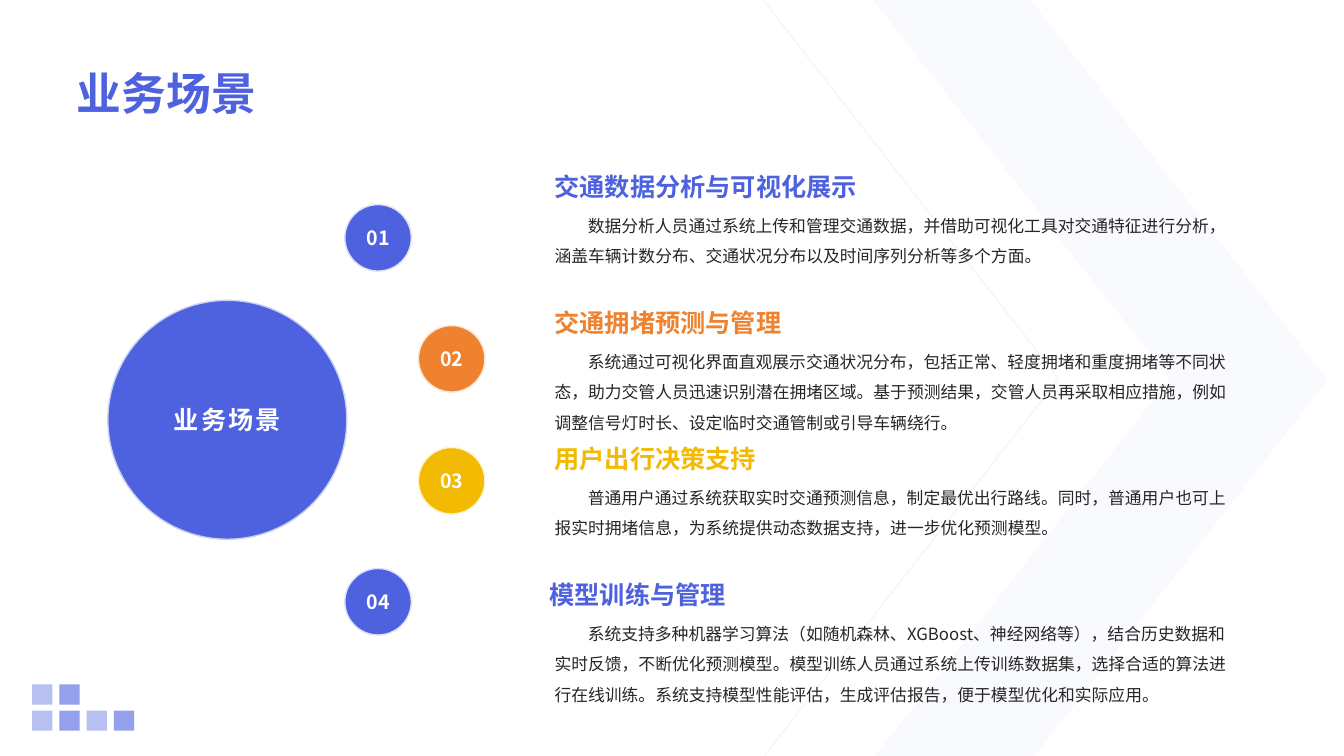
from dataclasses import dataclass

from lxml.etree import SubElement
from pptx import Presentation
from pptx.dml.color import RGBColor
from pptx.enum.shapes import MSO_SHAPE
from pptx.enum.text import MSO_ANCHOR, PP_ALIGN
from pptx.oxml.ns import qn
from pptx.util import Pt

PX = 9144  # 100 px to the inch


@dataclass(frozen=True)
class Theme:
    blue: str = "4E62DF"
    orange: str = "EE822F"
    gold: str = "F2BA02"
    ink: str = "262626"
    white: str = "FFFFFF"
    blue_rim: str = "DCE0F9"
    orange_rim: str = "FCE6D5"
    gold_rim: str = "FFF2CA"
    hub_rim: str = "CAD0F5"
    font: str = "Noto Sans CJK SC"
    title_font: str = "Arial"
    title: int = 32
    head: int = 18
    num: int = 14
    body: int = 12


class Deck:
    def __init__(self, theme):
        self.theme = theme
        self.deck = Presentation()
        self.deck.slide_width, self.deck.slide_height = 1333 * PX, 750 * PX
        self.slide = self.deck.slides.add_slide(self.deck.slide_layouts[6])
        self.shapes = self.slide.shapes

    def paint(self, form, color, alpha=100):
        """Give a fill or line format a solid colour, alpha in percent."""
        form.solid()
        form.fore_color.rgb = RGBColor.from_string(color)
        if alpha < 100:
            tone = form._xPr.find(qn("a:solidFill"))[0]
            SubElement(tone, qn("a:alpha"), val=str(alpha * 1000))

    def label(self, shape, text, size, color, bold=True, font=None,
              anchor=MSO_ANCHOR.BOTTOM, align=PP_ALIGN.LEFT, wrap=True,
              foot=0, gap=0, indent=0, lines=None):
        frame = shape.text_frame
        frame.word_wrap = wrap
        frame.vertical_anchor = anchor
        frame.margin_left = frame.margin_top = frame.margin_right = 0
        frame.margin_bottom = foot * PX
        para = frame.paragraphs[0]
        para.text = text
        para.alignment = align
        para.line_spacing = lines
        style = para.font
        style.size, style.bold = Pt(size), bold
        style.color.rgb = RGBColor.from_string(color)
        style.name = font or self.theme.font
        props = para._p.get_or_add_pPr()
        props.set("indent", str(indent * PX))
        chars = props.find(qn("a:defRPr"))
        SubElement(chars, qn("a:ea"), typeface=self.theme.font)
        if gap:
            chars.set("spc", str(gap))

    def text(self, box, text, size, color, **opts):
        shape = self.shapes.add_textbox(*(n * PX for n in box))
        self.label(shape, text, size, color, **opts)

    def block(self, kind, box, fill, alpha=100, rim=None):
        shape = self.shapes.add_shape(kind, *(n * PX for n in box))
        shape.shadow.inherit = False
        self.paint(shape.fill, fill, alpha)
        if rim:
            self.paint(shape.line.fill, rim)
            shape.line.width = Pt(1)
        else:
            shape.line.fill.background()
        return shape

    def disc(self, left, top, size, fill, rim, text, points, **opts):
        shape = self.block(MSO_SHAPE.OVAL, (left, top, size, size), fill, rim=rim)
        self.label(shape, text, points, self.theme.white,
                   anchor=MSO_ANCHOR.MIDDLE, align=PP_ALIGN.CENTER, **opts)

    def outline(self, points, color, alpha, filled):
        pen = self.shapes.build_freeform(*points[0], scale=PX)
        pen.add_line_segments(points[1:], close=filled)
        shape = pen.convert_to_shape()
        shape.shadow.inherit = False
        on, off = shape.fill, shape.line.fill
        if not filled:
            on, off = off, on
            shape.line.width = Pt(1)
        off.background()
        self.paint(on, color, alpha)


def main():
    look = Theme()
    deck = Deck(look)

    deck.outline([(758, 750), (1050, 376), (757, 0)], look.blue, 5, False)
    deck.outline([(1022, 0), (1317, 377), (1026, 750), (868, 750),
                  (1160, 376), (866, 0)], look.blue, 3, True)
    for col, row, alpha in [(0, 0, 40), (0, 1, 40), (1, 0, 60),
                            (1, 1, 60), (2, 1, 40), (3, 1, 60)]:
        deck.block(MSO_SHAPE.RECTANGLE,
                   (32 + 27 * col, 679 + 26 * row, 20, 20), look.blue, alpha)

    deck.text((76, 39, 1181, 79), "业务场景", look.title, look.blue,
              font=look.title_font)
    deck.disc(107, 298, 237, look.blue, look.hub_rim, "业务场景", look.head,
              gap=150)

    blue = (look.blue, look.blue_rim)
    orange = (look.orange, look.orange_rim)
    gold = (look.gold, look.gold_rim)
    scenes = [
        (342, 550, blue, "交通数据分析与可视化展示",
         "数据分析人员通过系统上传和管理交通数据，并借助可视化工具对交通特征进行分析，"
         "涵盖车辆计数分布、交通状况分布以及时间序列分析等多个方面。"),
        (415, 550, orange, "交通拥堵预测与管理",
         "系统通过可视化界面直观展示交通状况分布，包括正常、轻度拥堵和重度拥堵等不同状态，"
         "助力交管人员迅速识别潜在拥堵区域。基于预测结果，交管人员再采取相应措施，"
         "例如调整信号灯时长、设定临时交通管制或引导车辆绕行。"),
        (415, 550, gold, "用户出行决策支持",
         "普通用户通过系统获取实时交通预测信息，制定最优出行路线。同时，普通用户也可上报"
         "实时拥堵信息，为系统提供动态数据支持，进一步优化预测模型。"),
        (342, 545, blue, "模型训练与管理",
         "系统支持多种机器学习算法（如随机森林、XGBoost、神经网络等），结合历史数据和"
         "实时反馈，不断优化预测模型。模型训练人员通过系统上传训练数据集，选择合适的算法"
         "进行在线训练。系统支持模型性能评估，生成评估报告，便于模型优化和实际应用。"),
    ]
    for i, (left, edge, (color, rim), head, body) in enumerate(scenes):
        top = 159 + 135 * i
        deck.disc(left, 203 + round(120.4 * i), 66, color, rim, f"{i + 1:02}",
                  look.num, wrap=False)
        deck.text((edge, top, 679, 45), head, look.head, color, foot=4)
        deck.text((550, top + 45, 679, 89), body, look.body, look.ink,
                  bold=False, anchor=MSO_ANCHOR.TOP, indent=33, lines=1.5)

    deck.deck.save("out.pptx")


if __name__ == "__main__":
    main()
